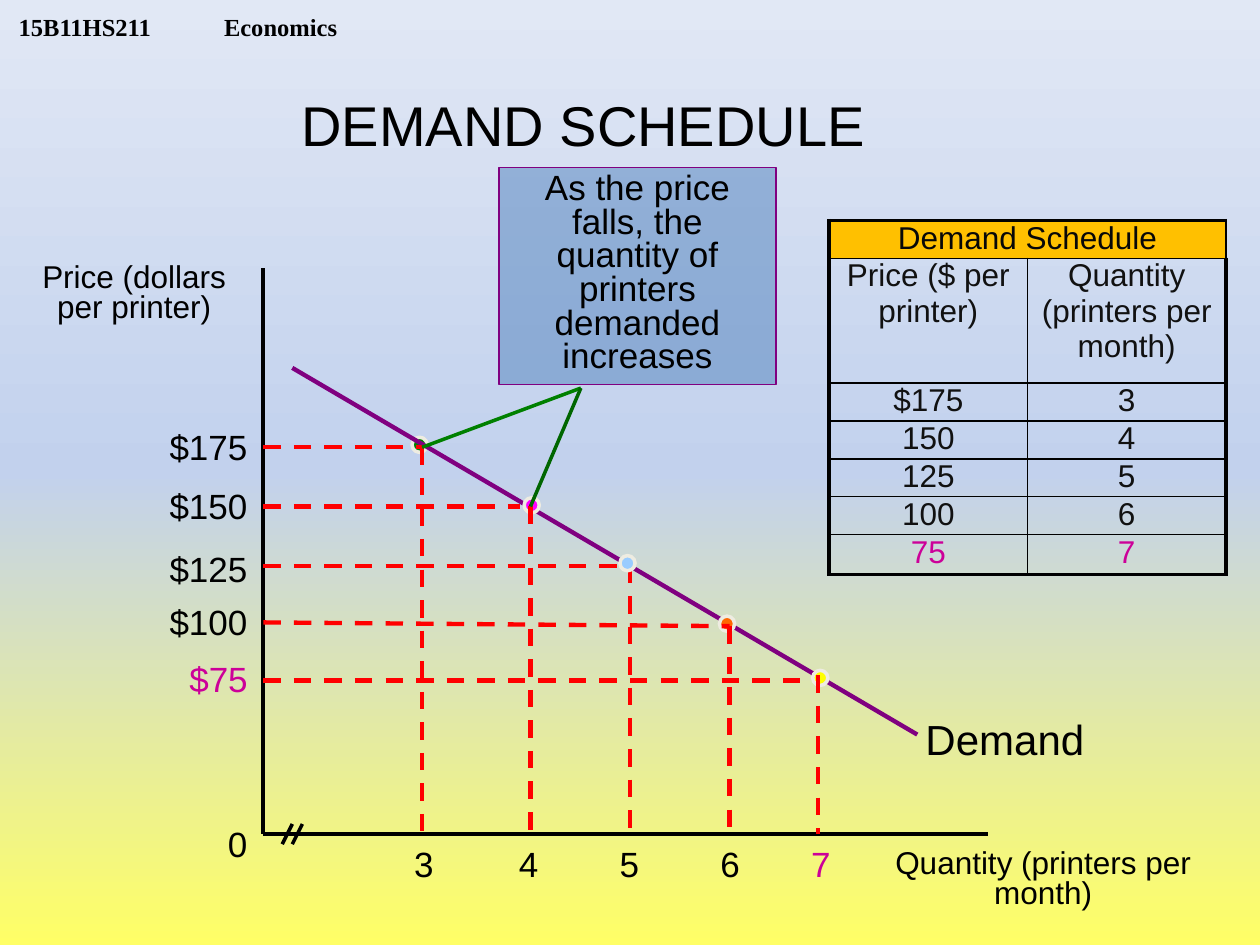
from collections import namedtuple
from dataclasses import dataclass
from lxml import etree
from pptx import Presentation
from pptx.dml.color import RGBColor
from pptx.enum import dml, shapes, text
from pptx.oxml import ns
from pptx.util import Inches, Pt


@dataclass(frozen=True)
class Theme:
    font: str = "Arial"
    header_font: str = "Times New Roman"
    ink: str = "000000"
    accent: str = "CC0099"
    guide: str = "FF0000"
    demand: str = "800080"
    dot_edge: str = "EEECE1"
    callout: str = "4F81BD"
    tails: tuple = ("008000", "006600")
    table_head: str = "FFC000"
    table_title: str = "080808"
    table_text: str = "111111"
    backdrop: tuple = ((0, "FFFF66"), (50, "C2D1ED"), (100, "E1E8F5"))
    header: int = 14
    title: int = 32
    name: int = 24
    label: int = 20
    body: int = 18


Box = namedtuple("Box", "l t w h")
Point = namedtuple("Point", "price qty dot start row drop price_at qty_x fill color")

T = Theme()
POINTS = [
    Point("$175", "3", (1.18, 1.34), 1.42, (1.26, 1.42), (1.26, 1.42), (-0.87, 1.26), 0.92, "008000", T.ink),
    Point("$150", "4", (2.07, 1.82), 1.89, (2.04, 1.89), (2.12, 1.89), (-0.87, 1.73), 1.75, "FF00FF", T.ink),
    Point("$125", "5", (2.83, 2.28), 2.36, (2.91, 2.36), (2.91, 2.36), (-0.87, 2.23), 2.55, "99CCFF", T.ink),
    Point("$100", "6", (3.62, 2.76), 2.81, (3.70, 2.84), (3.70, 2.84), (-0.87, 2.65), 3.35, "FF6600", T.ink),
    Point("$75", "7", (4.36, 3.19), 3.27, (4.33, 3.27), (4.40, 3.23), (-0.79, 3.10), 4.07, "FFFF00", T.accent),
]


def rgb(value):
    return RGBColor.from_string(value)


def inches(values):
    return [Inches(v) for v in values]


def write(tf, content, size=T.label, color=T.ink, font=T.font, bold=False,
          align=text.PP_ALIGN.CENTER, spacing=None):
    p = tf.paragraphs[0]
    p.alignment = align
    if spacing:
        p.line_spacing = spacing
    r = p.add_run()
    r.text = content
    r.font.size, r.font.name, r.font.bold = Pt(size), font, bold
    r.font.color.rgb = rgb(color)
    return p


def add_label(s, box, dx, dy, w, h, content, **fmt):
    sp = s.shapes.add_textbox(*inches((box.l + dx, box.t + dy, w, h)))
    sp.text_frame.word_wrap = True
    write(sp.text_frame, content, spacing=0.8, **fmt)


def add_line(s, box, start, end, color, width=2.5, dashed=False):
    ends = [box.l + start[0], box.t + start[1], box.l + end[0], box.t + end[1]]
    sp = s.shapes.add_connector(shapes.MSO_CONNECTOR.STRAIGHT, *inches(ends))
    sp.line.color.rgb, sp.line.width = rgb(color), Pt(width)
    if dashed:
        sp.line.dash_style = dml.MSO_LINE.DASH
    etree.SubElement(sp._element.spPr, ns.qn("a:effectLst"))


def add_filled(s, kind, place, fill, edge, width):
    sp = s.shapes.add_shape(kind, *inches(place))
    sp.shadow.inherit = False
    sp.fill.solid()
    sp.fill.fore_color.rgb = rgb(fill)
    sp.line.color.rgb, sp.line.width = rgb(edge), Pt(width)
    return sp


def add_backdrop(s):
    fill = s.background.fill
    fill.gradient()
    fill.gradient_angle = 90
    stops = s._element.find(".//" + ns.qn("a:gsLst"))
    for stop in list(stops):
        stops.remove(stop)
    for pos, color in T.backdrop:
        stop = etree.SubElement(stops, ns.qn("a:gs"), pos=str(pos * 1000))
        etree.SubElement(stop, ns.qn("a:srgbClr"), val=color)


def add_header(s, box):
    tf = s.shapes.add_textbox(*inches(box)).text_frame
    tf.word_wrap = True
    tf.margin_top = tf.margin_bottom = 0
    tf.vertical_anchor = text.MSO_ANCHOR.BOTTOM
    pPr = tf.paragraphs[0]._p.get_or_add_pPr()
    tabs = etree.SubElement(pPr, ns.qn("a:tabLst"))
    etree.SubElement(tabs, ns.qn("a:tab"), pos=str(Inches(1.63)), algn="l")
    write(tf, "15B11HS211\tEconomics", size=T.header, font=T.header_font, bold=True,
          align=text.PP_ALIGN.LEFT)


def add_title(s, box):
    sp = s.shapes.title
    sp.left, sp.top, sp.width, sp.height = inches(box)
    tf = sp.text_frame
    tf.auto_size = text.MSO_AUTO_SIZE.NONE
    tf.word_wrap = False
    tf.vertical_anchor = text.MSO_ANCHOR.TOP
    write(tf, "DEMAND SCHEDULE", size=T.title)


def add_guides(s, box, pt):
    add_line(s, box, (0, pt.start), pt.row, T.guide, dashed=True)
    add_line(s, box, pt.drop, (pt.drop[0], box.h), T.guide, dashed=True)


def add_dot(s, box, pt):
    place = (box.l + pt.dot[0], box.t + pt.dot[1], 0.12, 0.12)
    add_filled(s, shapes.MSO_SHAPE.OVAL, place, pt.fill, T.dot_edge, 2)


def add_graph(s, box):
    below = box.h + 0.08
    add_line(s, box, (0, 0), (0, box.h), T.ink)
    add_line(s, box, (0, box.h), (box.w, box.h), T.ink)
    for x in (0.23, 0.31):
        add_line(s, box, (x, box.h - 0.08), (x - 0.08, below), T.ink, 2)
    add_label(s, box, -1.89, -0.08, 1.73, 0.59, "Price (dollars per printer)", size=T.body)
    add_label(s, box, 4.72, below, 2.94, 0.59, "Quantity (printers per month)", size=T.body)
    add_label(s, box, -0.4, box.h - 0.08, 0.39, 0.37, "0")

    first, middle = POINTS[0], POINTS[2]
    add_guides(s, box, middle)
    add_dot(s, box, first)
    add_line(s, box, (0.23, 0.79), (5.19, 3.7), T.demand)
    add_label(s, box, 5.1, 3.56, 1.57, 0.42, "Demand", size=T.name)
    for pt in POINTS[1:]:
        add_dot(s, box, pt)
    for pt in POINTS:
        if pt is not middle:
            add_guides(s, box, pt)
        add_label(s, box, *pt.price_at, 0.87, 0.37, pt.price, color=pt.color)
        add_label(s, box, pt.qty_x, below, 0.71, 0.37, pt.qty, color=pt.color)


def add_callout(s, box):
    sp = add_filled(s, shapes.MSO_SHAPE.RECTANGLE, box, T.callout, T.demand, 0.75)
    color = sp._element.spPr.find(ns.qn("a:solidFill")).find(ns.qn("a:srgbClr"))
    etree.SubElement(color, ns.qn("a:alpha"), val="50000")
    tf = sp.text_frame
    tf.word_wrap = True
    tf.vertical_anchor = text.MSO_ANCHOR.TOP
    write(tf, "As the price falls, the quantity of printers demanded increases", spacing=0.8)
    for end, tail in zip(((-0.61, 2.22), (0.25, 2.69)), T.tails):
        add_line(s, box, (0.65, 1.75), end, tail, 2)


def add_borders(cell, outer):
    tcPr = cell._tc.get_or_add_tcPr()
    for side in "LRTB":
        width = 2.25 if side in outer else 1
        ln = etree.SubElement(tcPr, ns.qn("a:ln" + side), w=str(Pt(width)))
        fill = etree.SubElement(ln, ns.qn("a:solidFill"))
        etree.SubElement(fill, ns.qn("a:srgbClr"), val=T.ink)


def add_schedule(s, box):
    rows = [("Demand Schedule", ""), ("Price ($ per printer)", "Quantity (printers per month)")]
    rows += [(pt.price if i == 0 else pt.price.lstrip("$"), pt.qty) for i, pt in enumerate(POINTS)]
    last = len(rows) - 1
    table = s.shapes.add_table(len(rows), 2, *inches(box)).table
    table.first_row = table.horz_banding = False
    for row, height in zip(table.rows, [0.3, 0.99] + [0.3] * 4 + [0.32]):
        row.height = Inches(height)
    for i, values in enumerate(rows):
        color = {0: T.table_title, last: T.accent}.get(i, T.table_text)
        for j, value in enumerate(values):
            cell = table.cell(i, j)
            cell.margin_top = cell.margin_bottom = 0
            add_borders(cell, "LR"[j] + ("T" if i == 0 else "B" if i == last else ""))
            if i == 0:
                cell.fill.solid()
                cell.fill.fore_color.rgb = rgb(T.table_head)
            else:
                cell.fill.background()
            if value:
                write(cell.text_frame, value, size=T.body, color=color)
    table.cell(0, 0).merge(table.cell(0, 1))


def main():
    prs = Presentation()
    prs.slide_width, prs.slide_height = Inches(10), Inches(7.5)
    s = prs.slides.add_slide(prs.slide_layouts[5])
    add_backdrop(s)
    add_header(s, Box(0.05, 0, 3.2, 0.33))
    add_title(s, Box(2.25, 0.67, 4.76, 0.63))
    add_graph(s, Box(2.09, 2.13, 5.75, 4.49))
    add_schedule(s, Box(6.58, 1.75, 3.15, 2.81))
    add_callout(s, Box(3.96, 1.33, 2.2, 1.72))
    prs.save("out.pptx")


if __name__ == "__main__":
    main()
